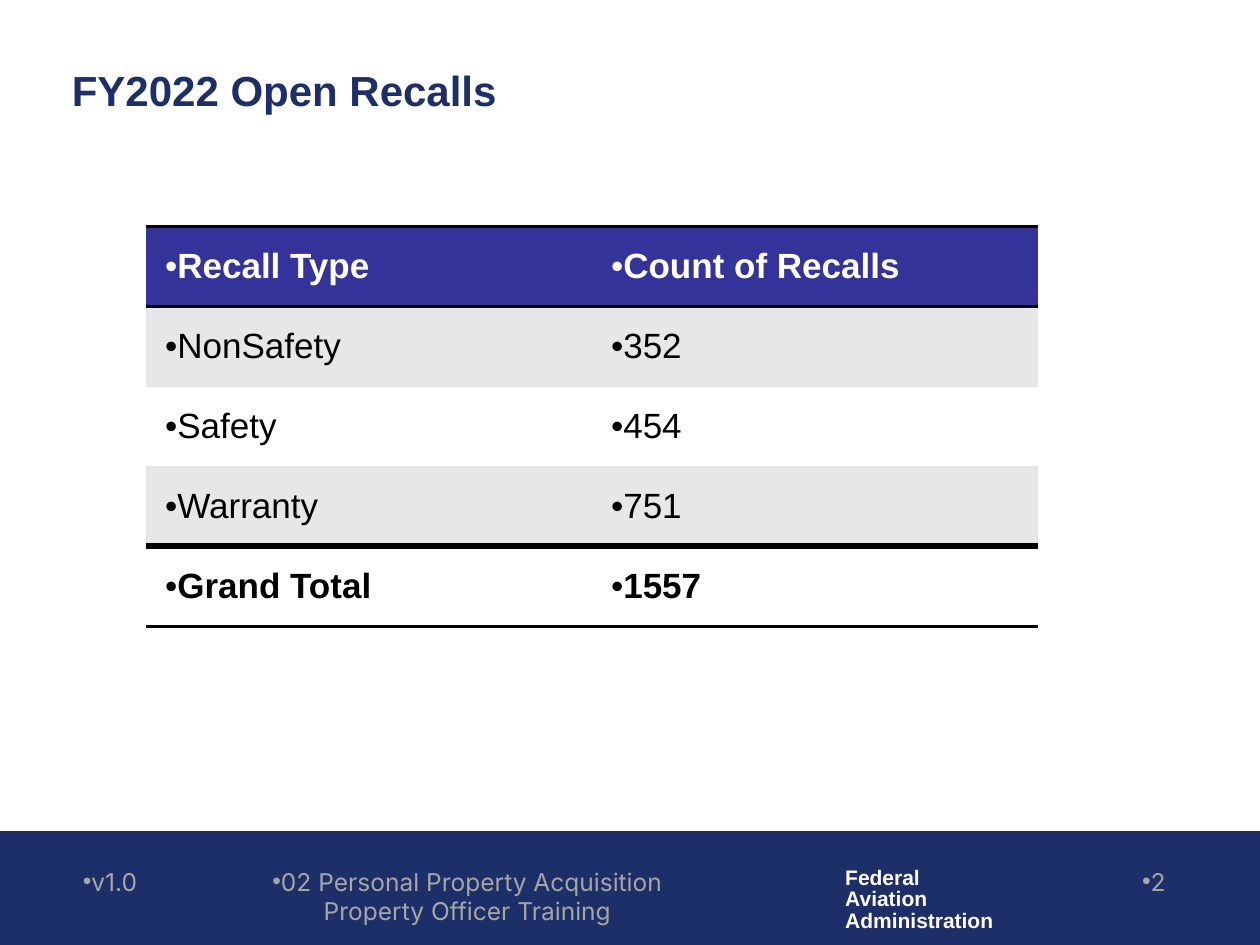
"""Build the FY2022 open recalls slide."""
from dataclasses import dataclass

from lxml import etree
from pptx import Presentation
from pptx.dml.color import RGBColor
from pptx.enum.shapes import MSO_SHAPE
from pptx.enum.text import MSO_ANCHOR, PP_ALIGN
from pptx.oxml.ns import qn
from pptx.util import Inches, Pt

RECTANGLE = MSO_SHAPE.RECTANGLE
MIDDLE = MSO_ANCHOR.MIDDLE
LEFT, CENTER, RIGHT = PP_ALIGN.LEFT, PP_ALIGN.CENTER, PP_ALIGN.RIGHT


@dataclass(frozen=True)
class Theme:
    """Colours, fonts and type sizes of the slide."""
    navy: str = "1D2F68"
    header: str = "333399"
    stripe: str = "E7E7E7"
    white: str = "FFFFFF"
    black: str = "000000"
    muted: str = "A6A6A6"
    font: str = "Arial"
    footer_font: str = "Inter"
    title_size: int = 24
    table_size: int = 20
    footer_size: int = 14
    agency_size: int = 12


THEME = Theme()
WIDTH, HEIGHT = 10, 7.5
TITLE = "FY2022 Open Recalls"
RECALLS = [
    ("Recall Type", "Count of Recalls"),
    ("NonSafety", "352"),
    ("Safety", "454"),
    ("Warranty", "751"),
    ("Grand Total", "1557"),
]
AGENCY = "Federal\vAviation\nAdministration"
FOOTERS = [
    ("v1.0", 0.56, 1.04, LEFT),
    ("02 Personal Property Acquisition Property Officer Training", 1.72, 3.98, CENTER),
    ("2", 8.15, 1.2, RIGHT),
]
BAND_TOP = 0.88 * HEIGHT
FOOTER_TOP, FOOTER_HEIGHT = 6.83, 0.5
TABLE_LEFT, TABLE_TOP = 1.16, 1.8
COLUMN_WIDTH, ROW_HEIGHT, CELL_MARGIN = 3.54, 0.61, 0.15
LAST = len(RECALLS) - 1
RULES = {0: 2, 1: 2, LAST: 4, LAST + 1: 2}


def rgb(color):
    """Turn a hex string into a colour."""
    return RGBColor.from_string(color)


def format_text(frame, size, color, font=THEME.font, bold=False, align=LEFT):
    """Format every run of a text frame."""
    for paragraph in frame.paragraphs:
        paragraph.alignment = align
        for run in paragraph.runs:
            run.font.name = font
            run.font.size = Pt(size)
            run.font.bold = bold
            run.font.color.rgb = rgb(color)


def add_bullets(frame):
    """Give each paragraph a bullet without indent."""
    for paragraph in frame.paragraphs:
        properties = paragraph._p.get_or_add_pPr()
        properties.set("marL", "0")
        properties.set("indent", "0")
        etree.SubElement(properties, qn("a:buFont")).set("typeface", THEME.font)
        etree.SubElement(properties, qn("a:buChar")).set("char", "•")


def set_borders(cell, top, bottom):
    """Draw the horizontal rules of a cell and clear its sides."""
    properties = cell._tc.get_or_add_tcPr()
    widths = {"lnL": 0, "lnR": 0, "lnT": top, "lnB": bottom}
    for index, (side, width) in enumerate(widths.items()):
        border = etree.Element(qn(f"a:{side}"))
        if width:
            border.set("w", str(Pt(width)))
            fill = etree.SubElement(border, qn("a:solidFill"))
            etree.SubElement(fill, qn("a:srgbClr")).set("val", THEME.black)
        else:
            etree.SubElement(border, qn("a:noFill"))
        properties.insert(index, border)


def add_textbox(slide, text, left, top, width, height):
    """Add a wrapping text box and return its text frame."""
    box = slide.shapes.add_textbox(*map(Inches, (left, top, width, height)))
    frame = box.text_frame
    frame.word_wrap = True
    frame.text = text
    return frame


def add_title(slide):
    """Place and format the title."""
    title = slide.shapes.title
    title.left, title.top, title.width, title.height = map(Inches, (0.47, 0.38, 8.46, 0.67))
    title.text_frame.text = TITLE
    title.text_frame.vertical_anchor = MIDDLE
    format_text(title.text_frame, THEME.title_size, THEME.navy, bold=True)


def add_recall_table(slide):
    """Add the table of recall counts."""
    rows, columns = len(RECALLS), len(RECALLS[0])
    table = slide.shapes.add_table(
        rows, columns, Inches(TABLE_LEFT), Inches(TABLE_TOP),
        Inches(columns * COLUMN_WIDTH), Inches(rows * ROW_HEIGHT)).table
    for row, values in enumerate(RECALLS):
        is_header = row == 0
        background = THEME.header if is_header else THEME.stripe if row % 2 else THEME.white
        for column, value in enumerate(values):
            cell = table.cell(row, column)
            cell.text = value
            cell.vertical_anchor = MIDDLE
            cell.margin_left = cell.margin_right = Inches(CELL_MARGIN)
            cell.margin_top = cell.margin_bottom = Inches(CELL_MARGIN)
            cell.fill.solid()
            cell.fill.fore_color.rgb = rgb(background)
            format_text(cell.text_frame, THEME.table_size,
                        THEME.white if is_header else THEME.black,
                        bold=row in (0, LAST))
            add_bullets(cell.text_frame)
            set_borders(cell, RULES.get(row, 0), RULES.get(row + 1, 0))


def add_footer(slide):
    """Add the navy band with the agency name and footer texts."""
    band = slide.shapes.add_shape(
        RECTANGLE, 0, Inches(BAND_TOP), Inches(WIDTH), Inches(HEIGHT - BAND_TOP))
    band.shadow.inherit = False
    band.fill.solid()
    band.fill.fore_color.rgb = rgb(THEME.navy)
    band.line.color.rgb = rgb(THEME.navy)
    band.line.width = Pt(0.75)

    agency = add_textbox(slide, AGENCY, 6.61, 6.84, 1.42, 0.45)
    agency.word_wrap = False
    format_text(agency, THEME.agency_size, THEME.white, bold=True)
    for paragraph in agency.paragraphs:
        paragraph.line_spacing = 0.85

    for text, left, width, align in FOOTERS:
        frame = add_textbox(slide, text, left, FOOTER_TOP, width, FOOTER_HEIGHT)
        format_text(frame, THEME.footer_size, THEME.muted, THEME.footer_font, align=align)
        add_bullets(frame)


def main():
    """Assemble and save the slide."""
    presentation = Presentation()
    presentation.slide_width, presentation.slide_height = Inches(WIDTH), Inches(HEIGHT)
    slide = presentation.slides.add_slide(presentation.slide_layouts[5])
    add_title(slide)
    add_footer(slide)
    add_recall_table(slide)
    presentation.save("out.pptx")


if __name__ == "__main__":
    main()
